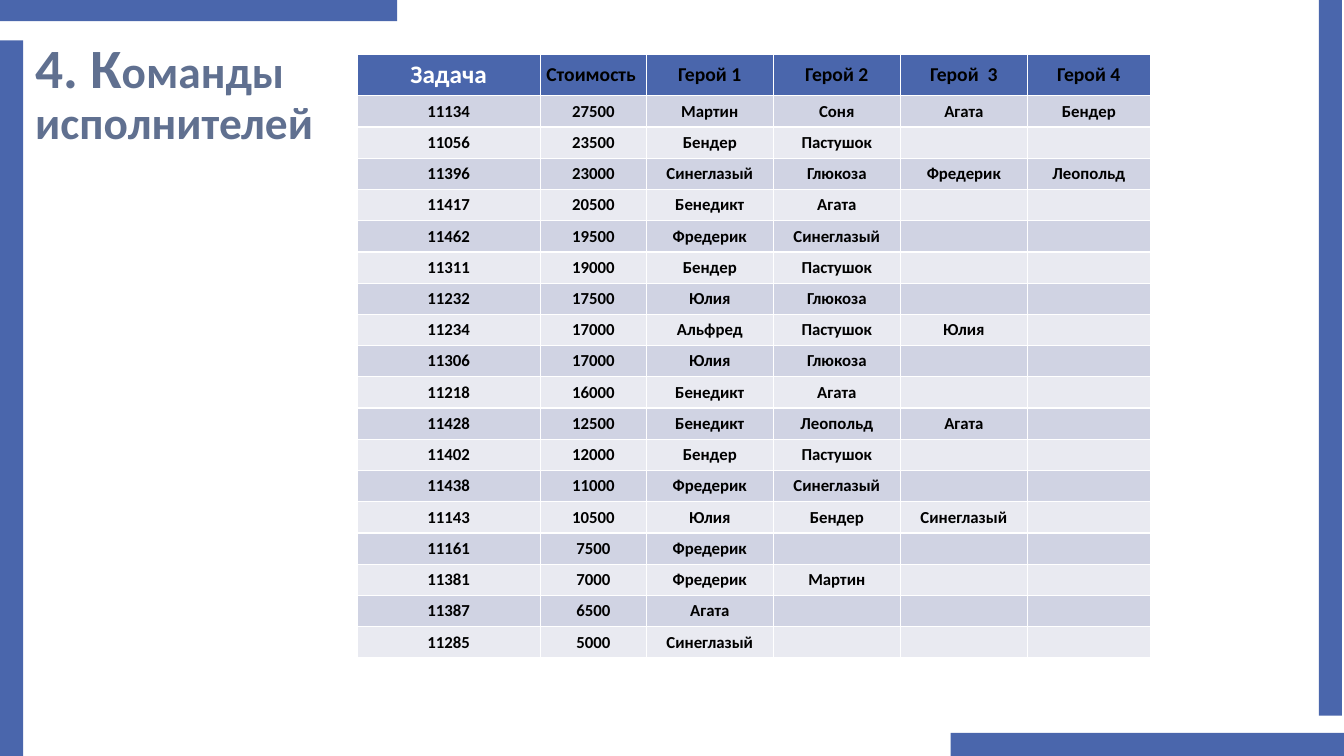
from pptx import Presentation
from pptx.dml.color import RGBColor
from pptx.enum import shapes, text
from pptx.util import Inches, Pt

FONT = "Calibri"
BLUE = RGBColor(0x4A, 0x66, 0xAC)
SLATE = RGBColor(0x60, 0x70, 0x90)
BAND_DARK = RGBColor(0xD0, 0xD3, 0xE3)
BAND_LIGHT = RGBColor(0xE9, 0xEA, 0xF1)
WHITE = RGBColor(0xFF, 0xFF, 0xFF)
BLACK = RGBColor(0, 0, 0)

TITLE_LINES = [
    [("4. К", 39.6), ("оманды ", 32.4)],
    [("исполнителей", 32.4)],
]
HEADER = ["Задача", "Стоимость ", "Герой 1", "Герой 2", "Герой  3", "Герой 4"]
TASKS = [
    ("11134", "27500", "Мартин", "Соня", "Агата", "Бендер"),
    ("11056", "23500", "Бендер", "Пастушок"),
    ("11396", "23000", "Синеглазый", "Глюкоза", "Фредерик", "Леопольд"),
    ("11417", "20500", "Бенедикт", "Агата"),
    ("11462", "19500", "Фредерик", "Синеглазый"),
    ("11311", "19000", "Бендер", "Пастушок"),
    ("11232", "17500", "Юлия", "Глюкоза"),
    ("11234", "17000", "Альфред", "Пастушок", "Юлия"),
    ("11306", "17000", "Юлия", "Глюкоза"),
    ("11218", "16000", "Бенедикт", "Агата"),
    ("11428", "12500", "Бенедикт", "Леопольд", "Агата"),
    ("11402", "12000", "Бендер", "Пастушок"),
    ("11438", "11000", "Фредерик", "Синеглазый"),
    ("11143", "10500", "Юлия", "Бендер", "Синеглазый"),
    ("11161", "7500", "Фредерик"),
    ("11381", "7000", "Фредерик", "Мартин"),
    ("11387", "6500", "Агата"),
    ("11285", "5000", "Синеглазый"),
]
COL_WIDTHS = [1.82, 1.05, 1.26, 1.26, 1.26, 1.22]
HEADER_HEIGHT, ROW_HEIGHT = 0.41, 0.31
TABLE_LEFT, TABLE_TOP = 3.54, 0.54

# left, top, width, height
FRAME_BARS = [
    (9.43, 7.27, 3.94, 0.23),
    (0, -0.02, 3.94, 0.23),
    (13.08, 0, 0.23, 7.1),
    (0, 0.4, 0.23, 7.1),
]


def style_run(r, size, color):
    r.font.name = FONT
    r.font.size = Pt(size)
    r.font.bold = True
    r.font.color.rgb = color


def add_bar(s, box):
    bar = s.shapes.add_shape(shapes.MSO_SHAPE.RECTANGLE, *map(Inches, box))
    bar.shadow.inherit = False
    bar.fill.solid()
    bar.fill.fore_color.rgb = BLUE
    bar.line.fill.background()


def add_title(s):
    box = s.shapes.add_textbox(Inches(0.25), Inches(0.61), Inches(11.57), Inches(0.67))
    tf = box.text_frame
    tf.word_wrap = True
    tf.vertical_anchor = text.MSO_ANCHOR.MIDDLE
    p = tf.paragraphs[0]
    p.line_spacing = 0.9
    for i, line in enumerate(TITLE_LINES):
        if i:
            p.add_line_break()
        for words, size in line:
            r = p.add_run()
            r.text = words
            style_run(r, size, SLATE)


def fill_cell(cell, words, fill, size, color):
    cell.fill.solid()
    cell.fill.fore_color.rgb = fill
    cell.vertical_anchor = text.MSO_ANCHOR.MIDDLE
    cell.margin_left = cell.margin_right = cell.margin_top = cell.margin_bottom = 0
    if words:
        p = cell.text_frame.paragraphs[0]
        p.text = words
        p.alignment = text.PP_ALIGN.CENTER
        style_run(p.runs[0], size, color)


def add_task_table(s):
    height = HEADER_HEIGHT + ROW_HEIGHT * len(TASKS)
    frame = s.shapes.add_table(
        len(TASKS) + 1, len(HEADER), Inches(TABLE_LEFT), Inches(TABLE_TOP),
        Inches(sum(COL_WIDTHS)), Inches(height))
    table = frame.table
    for col, width in zip(table.columns, COL_WIDTHS):
        col.width = Inches(width)
    for i, row in enumerate(table.rows):
        row.height = Inches(ROW_HEIGHT if i else HEADER_HEIGHT)

    for j, words in enumerate(HEADER):
        size, color = (14, BLACK) if j else (18, WHITE)
        fill_cell(table.cell(0, j), words, BLUE, size, color)
    for i, task in enumerate(TASKS, 1):
        band = BAND_DARK if i % 2 else BAND_LIGHT
        for j in range(len(HEADER)):
            words = task[j] if j < len(task) else ""
            fill_cell(table.cell(i, j), words, band, 12, BLACK)


def main():
    prs = Presentation()
    prs.slide_width, prs.slide_height = Inches(13.33), Inches(7.5)
    s = prs.slides.add_slide(prs.slide_layouts[6])
    for box in FRAME_BARS:
        add_bar(s, box)
    add_title(s)
    add_task_table(s)
    prs.save("out.pptx")


if __name__ == "__main__":
    main()
